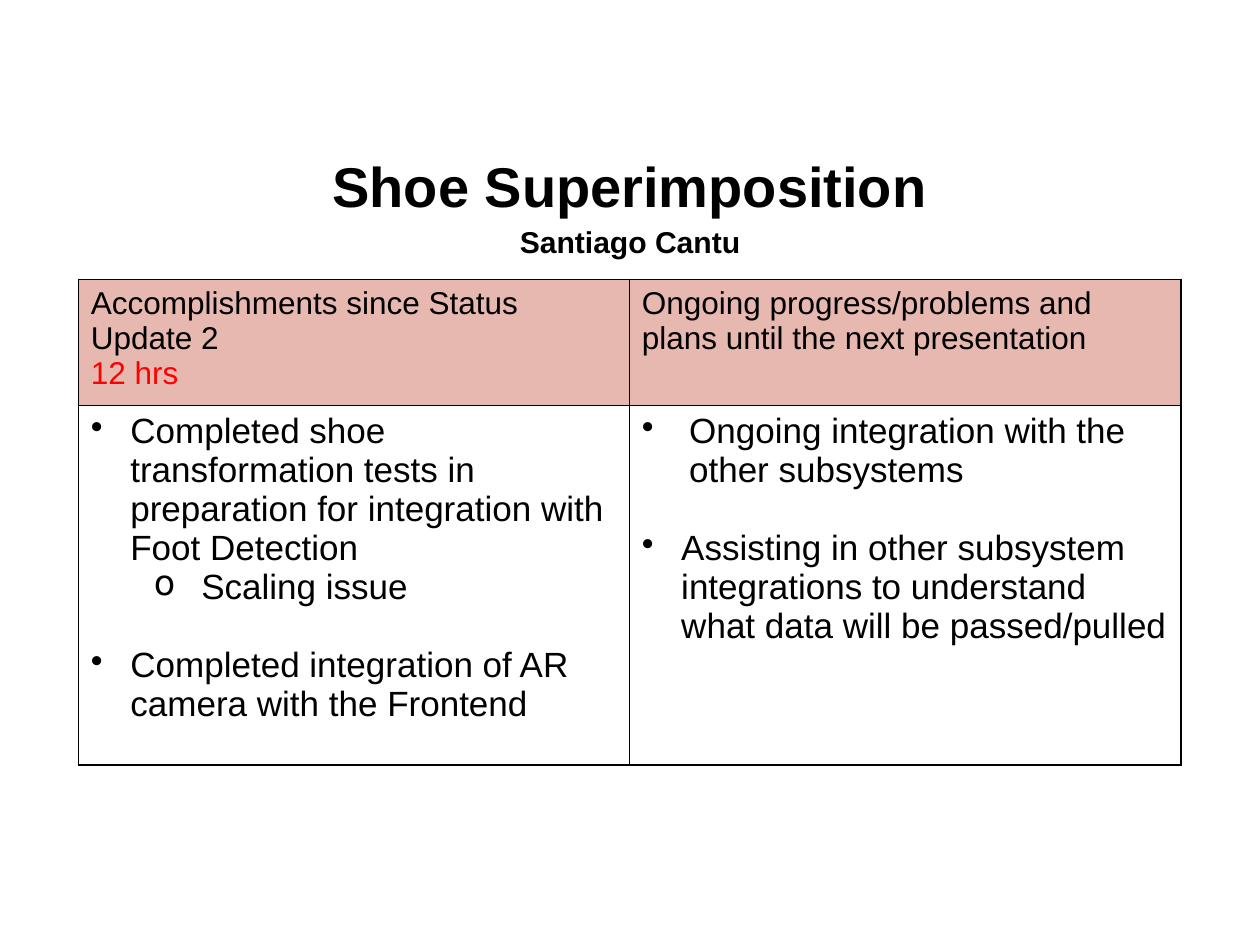
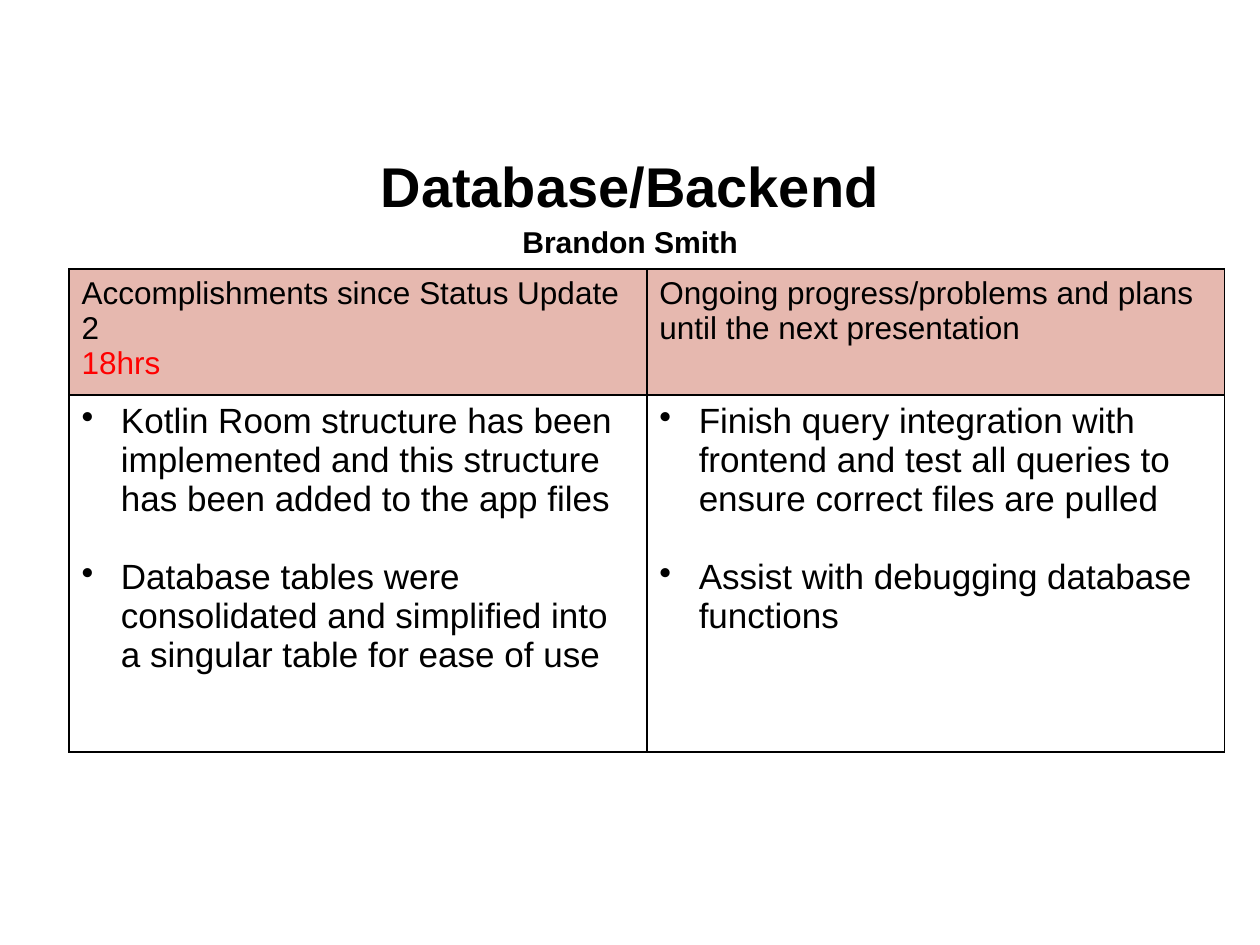
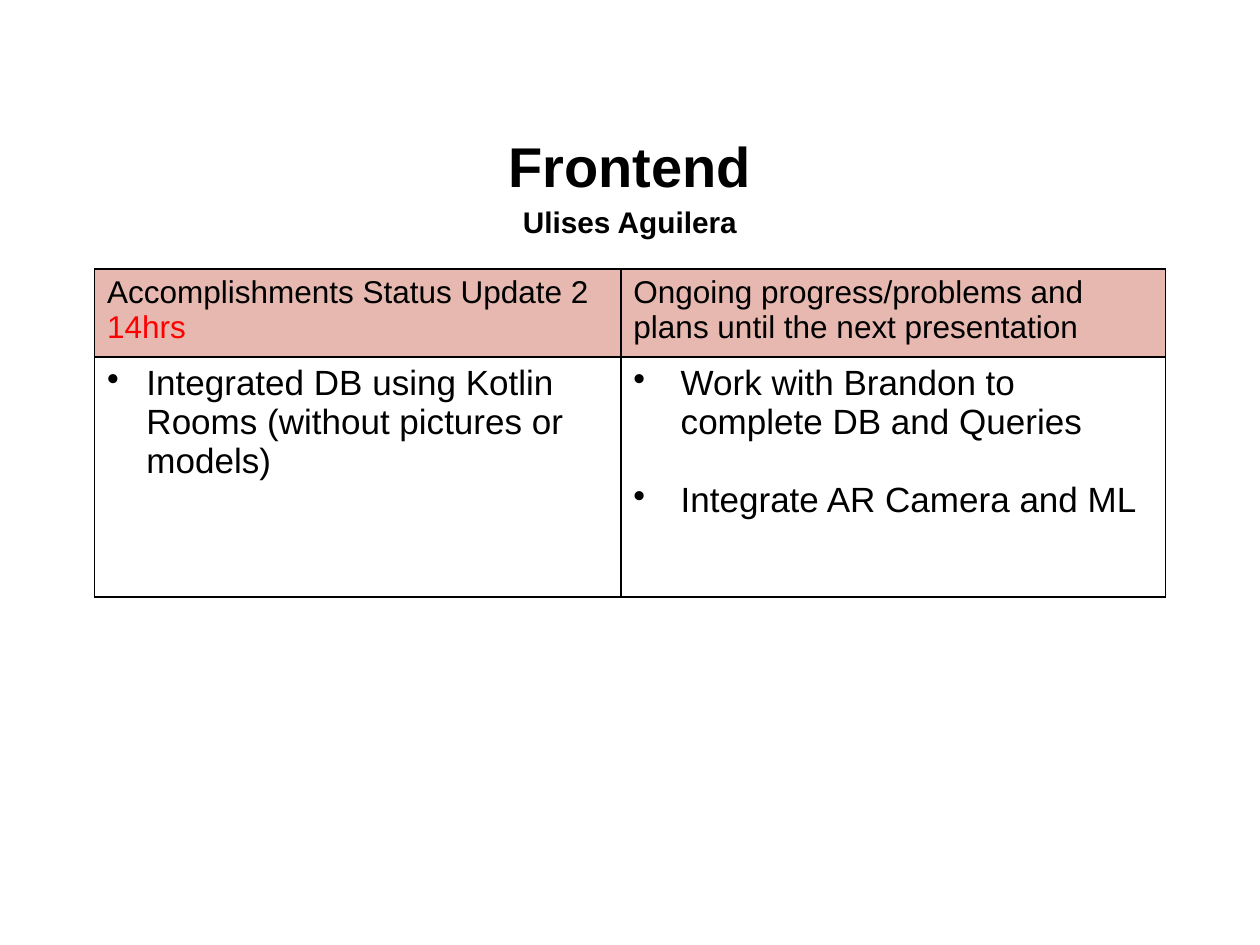
"""Builds three status update pages, each with a title and a two-column table."""
from dataclasses import dataclass

from lxml.etree import SubElement
from pptx import Presentation
from pptx.dml.color import RGBColor
from pptx.enum.text import MSO_ANCHOR, PP_ALIGN
from pptx.oxml.ns import qn
from pptx.util import Pt


@dataclass(frozen=True)
class Theme:
    """Colours, font and sizes shared by all pages."""
    font: str = "Arial"
    ink: str = "000000"
    accent: str = "FF0000"
    header_fill: str = "E6B8AF"
    title_size: float = 32
    header_size: float = 18
    body_size: float = 20
    line_spacing: float = 1.15
    item_gap: float = 22.3
    border: float = 1


@dataclass(frozen=True)
class Item:
    """One bulleted line of a table cell."""
    text: str
    left: float = 22.5
    hang: float = 22.5
    bullet: str = "•"
    level: int = 0
    gap: bool = False


class StatusDeck:
    """Holds the style and the current page, with a method for each element."""

    def __init__(self, theme):
        """Start an empty deck of 10 by 7.5 inches."""
        self.theme = theme
        self.deck = Presentation()
        self.deck.slide_width, self.deck.slide_height = Pt(720), Pt(540)
        self.page = None

    def add_page(self):
        """Start a new blank page."""
        self.page = self.deck.slides.add_slide(self.deck.slide_layouts[6])

    def style(self, para, size, color=None, bold=False):
        """Set the font of a paragraph."""
        font = para.font
        font.name, font.size, font.bold = self.theme.font, Pt(size), bold
        font.color.rgb = RGBColor.from_string(color or self.theme.ink)

    def paragraphs(self, frame, texts):
        """Fill a text frame with one paragraph for each text."""
        for index, text in enumerate(texts):
            para = frame.add_paragraph() if index else frame.paragraphs[0]
            para.add_run().text = text
            yield para

    def title(self, topic, owner, top, owner_size):
        """Add the centred topic with its owner below."""
        box = self.page.shapes.add_textbox(Pt(36), Pt(top), Pt(648), Pt(63.4))
        frame = box.text_frame
        frame.word_wrap, frame.vertical_anchor = True, MSO_ANCHOR.MIDDLE
        sizes = (self.theme.title_size, owner_size)
        for para, size in zip(self.paragraphs(frame, (topic, owner)), sizes):
            para.alignment, para.line_spacing = PP_ALIGN.CENTER, self.theme.line_spacing
            self.style(para, size, bold=True)

    def borders(self, cell):
        """Draw a solid line on each side of a cell."""
        properties = cell._tc.get_or_add_tcPr()
        for side in ("a:lnL", "a:lnR", "a:lnT", "a:lnB"):
            line = SubElement(properties, qn(side), w=str(Pt(self.theme.border)))
            fill = SubElement(line, qn("a:solidFill"))
            SubElement(fill, qn("a:srgbClr"), val=self.theme.ink)

    def header(self, cell, lines):
        """Fill a heading cell, with any second line in the accent colour."""
        self.borders(cell)
        cell.fill.solid()
        cell.fill.fore_color.rgb = RGBColor.from_string(self.theme.header_fill)
        colors = (self.theme.ink, self.theme.accent)
        for para, color in zip(self.paragraphs(cell.text_frame, lines), colors):
            self.style(para, self.theme.header_size, color)

    def bullets(self, cell, items):
        """Fill a body cell with bulleted items."""
        self.borders(cell)
        cell.fill.background()
        texts = [item.text for item in items]
        for para, item in zip(self.paragraphs(cell.text_frame, texts), items):
            para.level = item.level
            if item.gap:
                para.space_before = Pt(self.theme.item_gap)
            properties = para._p.get_or_add_pPr()
            properties.set("marL", str(Pt(item.left)))
            properties.set("indent", str(-Pt(item.hang)))
            SubElement(properties, qn("a:buChar"), char=item.bullet)
            self.style(para, self.theme.body_size)

    def table(self, left, top, widths, heights, headers, bodies):
        """Add the table of headings above bulleted items."""
        frame = self.page.shapes.add_table(
            2, 2, Pt(left), Pt(top), Pt(sum(widths)), Pt(sum(heights)))
        table = frame.table
        table.first_row = table.horz_banding = False
        for row, height in zip(table.rows, heights):
            row.height = Pt(height)
        for index, width in enumerate(widths):
            table.columns[index].width = Pt(width)
            self.header(table.cell(0, index), headers[index])
            self.bullets(table.cell(1, index), bodies[index])


PLANS = ("Ongoing progress/problems and plans until the next presentation",)
SINCE_LAST = "Accomplishments since Status Update 2"
WIDE = 27


def main():
    """Build and save the deck."""
    status = StatusDeck(Theme())

    status.add_page()
    status.title("Shoe Superimposition", "Santiago Cantu", 82.8, 17.2)
    status.table(
        44.8, 159.7, (314.8, 315.2), (68, 205.5),
        ((SINCE_LAST, "12 hrs"), PLANS),
        ((Item("Completed shoe transformation tests in preparation for "
               "integration with Foot Detection"),
          Item("Scaling issue", 63, WIDE, "o", 1),
          Item("Completed integration of AR camera with the Frontend", gap=True)),
         (Item("Ongoing integration with the other subsystems", WIDE, WIDE),
          Item("Assisting in other subsystem integrations to understand what "
               "data will be passed/pulled", gap=True))))

    status.add_page()
    status.title("Database/Backend", "Brandon Smith", 82.8, 17.2)
    status.table(
        39.4, 153.8, (330.2, 330.2), (67.5, 204),
        ((SINCE_LAST, "18hrs"), PLANS),
        ((Item("Kotlin Room structure has been implemented and this structure "
               "has been added to the app files"),
          Item("Database tables were consolidated and simplified into a "
               "singular table for ease of use", gap=True)),
         (Item("Finish query integration with frontend and test all queries to "
               "ensure correct files are pulled"),
          Item("Assist with debugging database functions", gap=True))))

    status.add_page()
    status.title("Frontend", "Ulises Aguilera", 71.3, 17)
    status.table(
        54, 153.6, (300.8, 311.2), (50.4, 137),
        (("Accomplishments Status Update 2", "14hrs"), PLANS),
        ((Item("Integrated DB using Kotlin Rooms (without pictures or models)"),),
         (Item("Work with Brandon to complete DB and Queries", WIDE, WIDE),
          Item("Integrate AR Camera and ML", WIDE, WIDE, gap=True))))

    status.deck.save("out.pptx")


if __name__ == "__main__":
    main()
